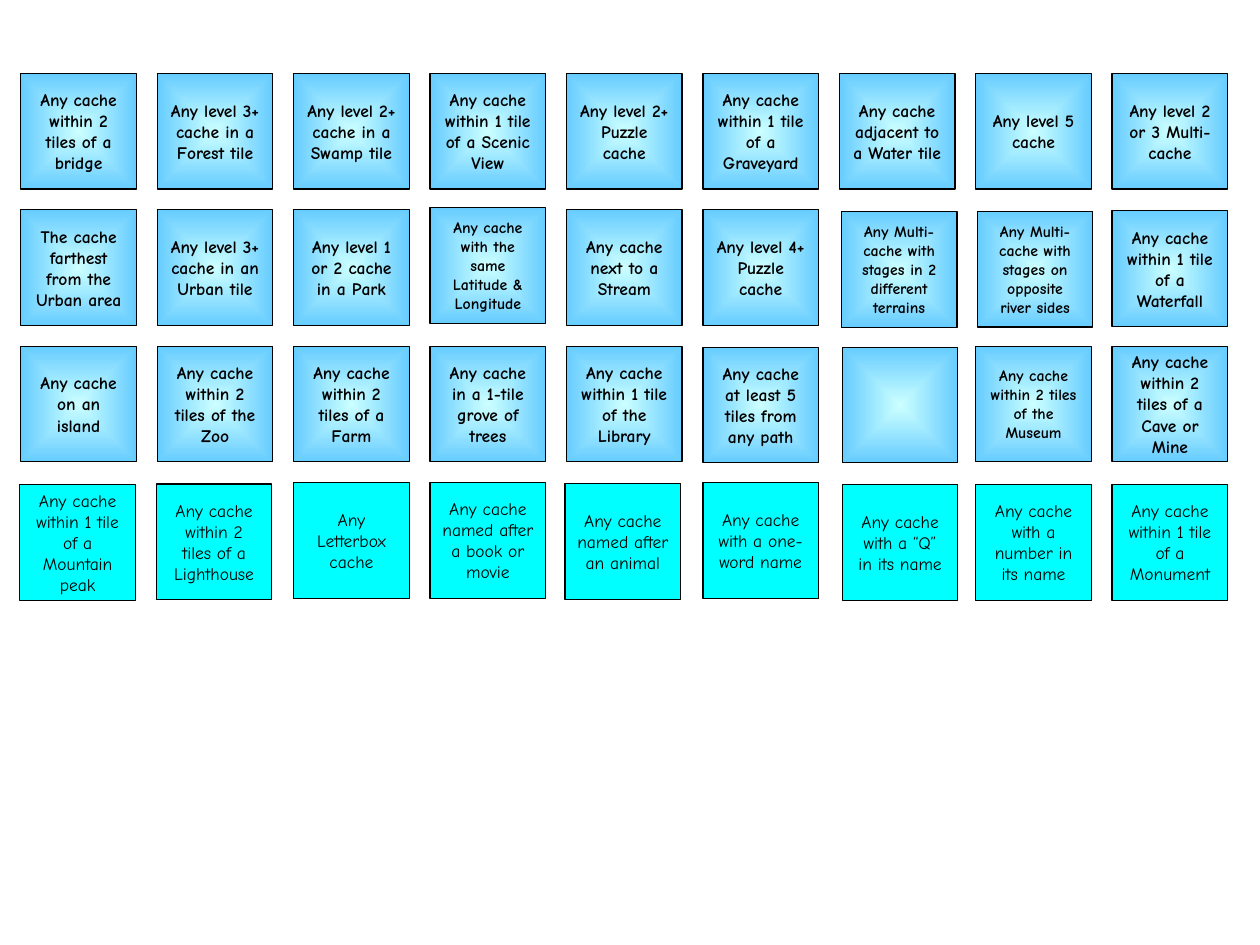
"""Build a slide of geocaching goal tiles laid out on a nine-column grid."""
from dataclasses import dataclass

from lxml import etree
from pptx import Presentation, util as u
from pptx.dml import color
from pptx.enum import shapes, text
from pptx.oxml import ns

LEFT, TOP, PITCH, SIDE = 0.42, 1.48, 2.75, 2.33
FONT = "Comic Neue"
BLACK, CENTRE_BLUE, EDGE_BLUE, CYAN = "000000", "CCFFFF", "66CCFF", "00FFFF"


@dataclass(frozen=True)
class Tile:
    """A goal with its text size in points and its shift off the grid in cm."""
    goal: str
    size: int = 10
    dx: float = 0
    dy: float = 0


@dataclass(frozen=True)
class Row:
    """A row of tiles that share a fill and a weight."""
    tiles: tuple[Tile, ...]
    plain: bool = False


ROWS = (
    Row((
        Tile("Any cache within 2 tiles of a bridge"),
        Tile("Any level 3+ cache in a Forest tile"),
        Tile("Any level 2+ cache in a Swamp tile"),
        Tile("Any cache within 1 tile of a Scenic View"),
        Tile("Any level 2+ Puzzle cache"),
        Tile("Any cache within 1 tile of a Graveyard"),
        Tile("Any cache adjacent to a Water tile"),
        Tile("Any level 5 cache"),
        Tile("Any level 2 or 3 Multi-cache"),
    )),
    Row((
        Tile("The cache farthest from the Urban area"),
        Tile("Any level 3+ cache in an Urban tile"),
        Tile("Any level 1 or 2 cache in a Park"),
        Tile("Any cache with the same Latitude & Longitude", 9, dy=-0.04),
        Tile("Any cache next to a Stream"),
        Tile("Any level 4+ Puzzle cache"),
        Tile("Any Multi-cache with stages in 2 different terrains", 9, 0.04, 0.04),
        Tile("Any Multi-cache with stages on opposite river sides", 9, 0.03, 0.03),
        Tile("Any cache within 1 tile of a Waterfall", dy=0.02),
    )),
    Row((
        Tile("Any cache on an island"),
        Tile("Any cache within 2 tiles of the Zoo"),
        Tile("Any cache within 2 tiles of a Farm"),
        Tile("Any cache in a 1-tile grove of trees"),
        Tile("Any cache within 1 tile of the Library"),
        Tile("Any cache at least 5 tiles from any path", dy=0.02),
        Tile("", dx=0.06, dy=0.02),
        Tile("Any cache within 2 tiles of the Museum", 9),
        Tile("Any cache within 2 tiles of a Cave or Mine"),
    )),
    Row((
        Tile("Any cache within 1 tile of a Mountain peak", dx=-0.02, dy=0.04),
        Tile("Any cache within 2 tiles of a Lighthouse", dx=-0.02, dy=0.03),
        Tile("Any Letterbox cache"),
        Tile("Any cache named after a book or movie"),
        Tile("Any cache named after an animal", dx=-0.03, dy=0.02),
        Tile("Any cache with a one-word name"),
        Tile("Any cache with a “Q” in its name", dx=0.06, dy=0.04),
        Tile("Any cache with a number in its name", dy=0.04),
        Tile("Any cache within 1 tile of a Monument", dy=0.04),
    ), plain=True),
)


def rgb(value: str) -> color.RGBColor:
    """Turn a hex string into a colour."""
    return color.RGBColor.from_string(value)


def apply(target: object, values: dict) -> None:
    """Set each named attribute on the target."""
    for name, value in values.items():
        setattr(target, name, value)


def fill_solid(box, value: str) -> None:
    """Fill a box with one colour."""
    box.fill.solid()
    box.fill.fore_color.rgb = rgb(value)


def fill_glow(box, centre: str, edge: str) -> None:
    """Fill a box with a rectangular gradient that spreads from its centre."""
    box.fill.gradient()
    for stop, position, value in zip(box.fill.gradient_stops, (0, 1), (centre, edge)):
        stop.position = position
        stop.color.rgb = rgb(value)
    gradient = box._element.spPr.find(ns.qn("a:gradFill"))
    gradient.remove(gradient.find(ns.qn("a:lin")))
    spread = etree.SubElement(gradient, ns.qn("a:path"), {"path": "rect"})
    sides = {side: "50000" for side in "ltrb"}
    etree.SubElement(spread, ns.qn("a:fillToRect"), sides)


def write_goal(box, tile: Tile, bold: bool) -> None:
    """Write the goal centred in its box."""
    frame = box.text_frame
    apply(frame, {"word_wrap": True, "vertical_anchor": text.MSO_ANCHOR.MIDDLE})
    para = frame.paragraphs[0]
    para.alignment = text.PP_ALIGN.CENTER
    span = para.add_run()
    span.text = tile.goal
    apply(span.font, {"name": FONT, "size": u.Pt(tile.size), "bold": bold})
    span.font.color.rgb = rgb(BLACK)


def draw_tile(page, tile: Tile, column: int, line: int, plain: bool) -> None:
    """Draw one tile at its place on the grid."""
    box = page.shapes.add_shape(
        shapes.MSO_SHAPE.OCTAGON,
        u.Cm(LEFT + column * PITCH + tile.dx),
        u.Cm(TOP + line * PITCH + tile.dy),
        u.Cm(SIDE),
        u.Cm(SIDE),
    )
    box.adjustments[0] = 0
    box.shadow.inherit = False
    box.line.width = u.Pt(0.75)
    box.line.color.rgb = rgb(BLACK)
    if plain:
        fill_solid(box, CYAN)
    else:
        fill_glow(box, CENTRE_BLUE, EDGE_BLUE)
    if tile.goal:
        write_goal(box, tile, bold=not plain)


def main() -> None:
    """Build the deck and save it."""
    deck = Presentation()
    apply(deck, {"slide_width": u.Cm(25.4), "slide_height": u.Cm(19.05)})
    page = deck.slides.add_slide(deck.slide_layouts[6])
    for line, row in enumerate(ROWS):
        for column, tile in enumerate(row.tiles):
            draw_tile(page, tile, column, line, row.plain)
    deck.save("out.pptx")


if __name__ == "__main__":
    main()
